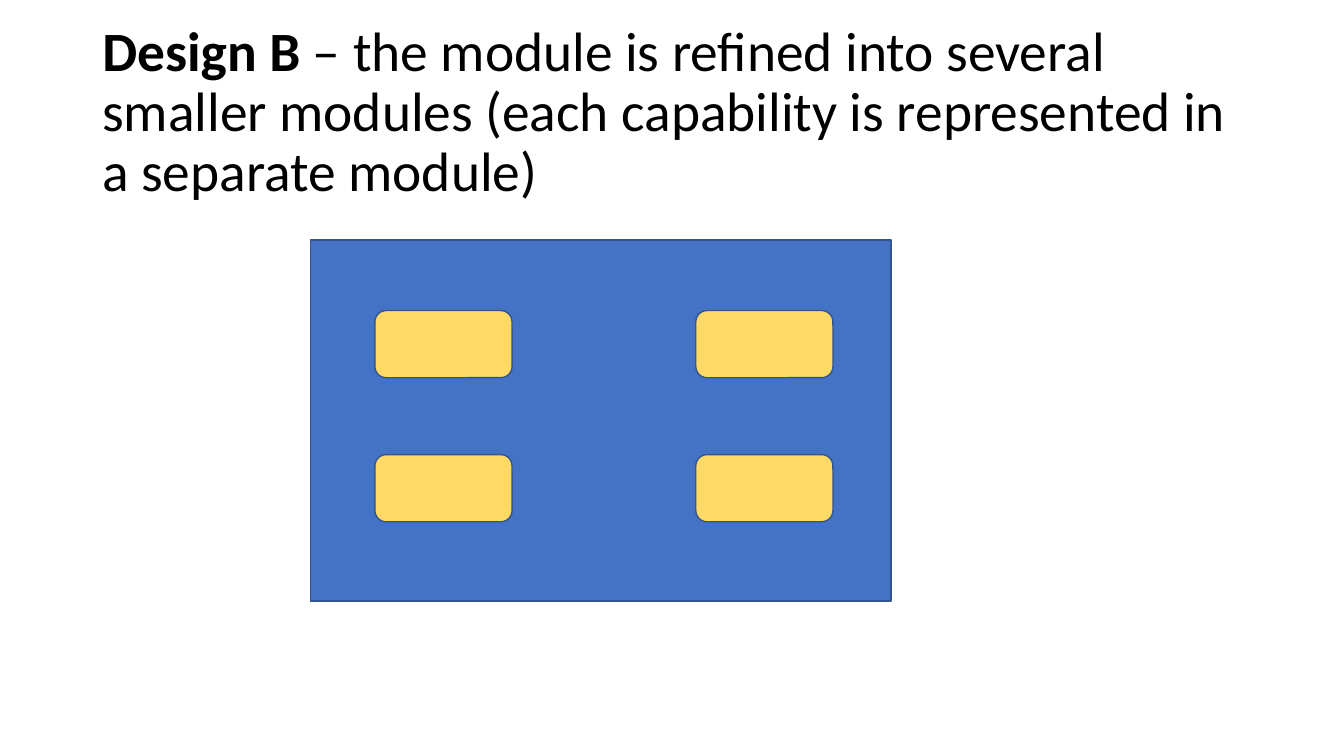
from pptx import Presentation
from pptx.util import Pt
from pptx.dml.color import RGBColor
from pptx.enum.shapes import MSO_SHAPE
from pptx.enum.text import MSO_ANCHOR

COLORS = {"text": "000000", "outer": "4472C4", "inner": "FFD966", "edge": "325491"}

deck = Presentation()
deck.slide_width, deck.slide_height = Pt(960), Pt(540)
slide = deck.slides.add_slide(deck.slide_layouts[6])


def add_box(kind, left, top, width, height, fill):
    box = slide.shapes.add_shape(kind, Pt(left), Pt(top), Pt(width), Pt(height))
    box.shadow.inherit = False
    box.fill.solid()
    box.fill.fore_color.rgb = RGBColor.from_string(COLORS[fill])
    box.line.color.rgb = RGBColor.from_string(COLORS["edge"])
    box.line.width = Pt(1)


# Title, with the design name in bold
title = slide.shapes.add_textbox(Pt(66), Pt(28.8), Pt(828), Pt(104.4))
frame = title.text_frame
frame.word_wrap = True
frame.vertical_anchor = MSO_ANCHOR.MIDDLE
para = frame.paragraphs[0]
para.line_spacing = 0.9
para.text = "Design B"
para.add_run().text = (" – the module is refined into several smaller modules "
                       "(each capability is represented in a separate module)")
for run in para.runs:
    run.font.name = "Calibri"
    run.font.size = Pt(39.6)
    run.font.color.rgb = RGBColor.from_string(COLORS["text"])
para.runs[0].font.bold = True

# Outer module
add_box(MSO_SHAPE.RECTANGLE, 221.8, 171.4, 414.7, 257.8, "outer")

# Smaller modules, two by two
for col in range(2):
    for row in range(2):
        add_box(MSO_SHAPE.ROUNDED_RECTANGLE,
                267.8 + 229.2 * col, 221.8 + 102.9 * row, 98, 48, "inner")

deck.save("out.pptx")
